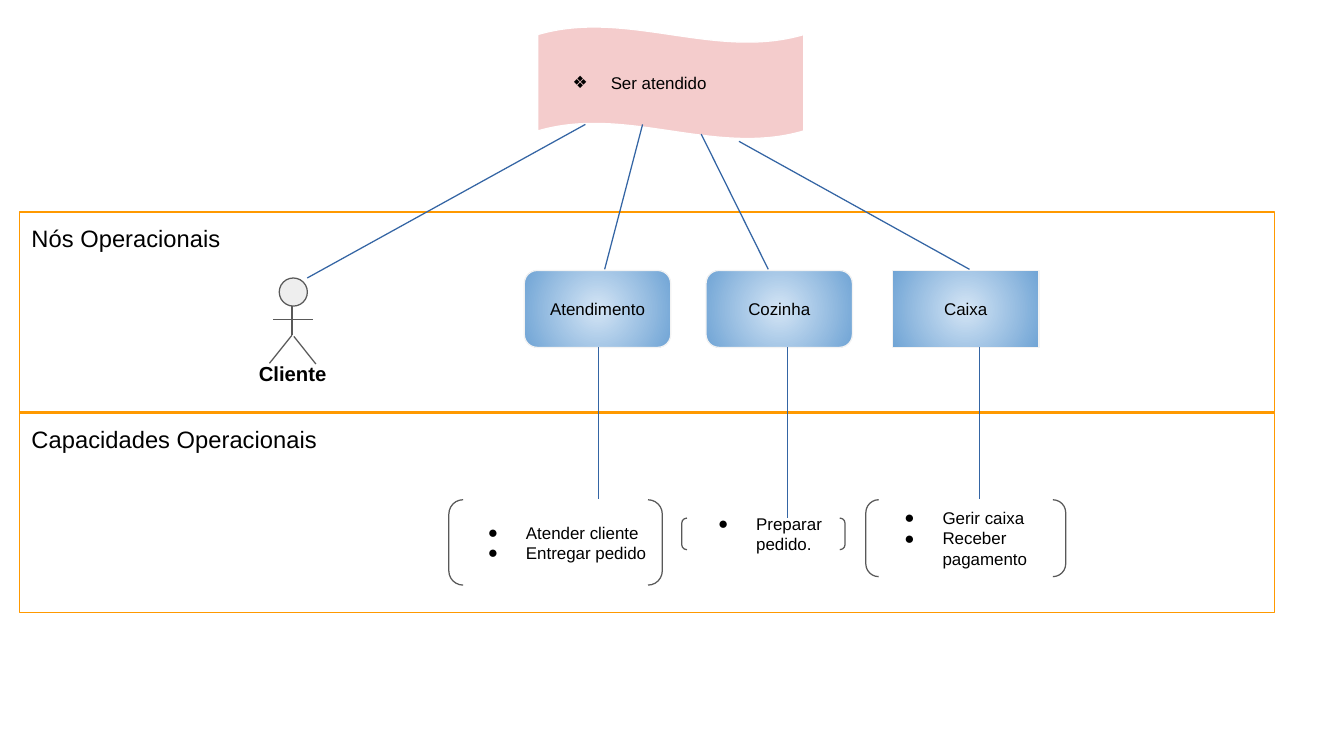
"""Build the operational nodes and capabilities slide."""
from dataclasses import dataclass

from lxml.etree import SubElement
from pptx import Presentation
from pptx.dml.color import RGBColor
from pptx.enum.shapes import MSO_CONNECTOR, MSO_SHAPE
from pptx.enum.text import MSO_ANCHOR, PP_ALIGN
from pptx.oxml.ns import qn
from pptx.util import Pt


@dataclass(frozen=True)
class Theme:
    """Colours, font and sizes of the slide."""
    font: str = "Arial"
    text: str = "000000"
    lane: str = "FF9900"
    goal: str = "F4CCCC"
    goal_line: str = "FFFFFF"
    actor: str = "EEEEEE"
    outline: str = "595959"
    link: str = "3465A4"
    node_inner: str = "D4E5F5"
    node_outer: str = "70A4D5"
    node_line: str = "F3F3F3"
    lane_size: float = 14
    actor_size: float = 12
    body_size: float = 10
    line_width: float = 0.75
    inset: float = 7.2
    bullet_left: float = 36
    bullet_hang: float = 22.5


THEME = Theme()
LANE_LEFT, LANE_TOP, LANE_WIDTH, LANE_HEIGHT, LANE_PITCH = 11.5, 125.3, 741, 118.1, 118.6
LANES = ["Nós Operacionais", "Capacidades Operacionais"]
NODE_TOP, NODE_WIDTH, NODE_HEIGHT = 159.8, 86.4, 45.4
NODES = [("Atendimento", 309.6, 0.167), ("Cozinha", 416.9, 0.167), ("Caixa", 527, 0)]
CAPABILITIES = [
    (["Atender cliente", "Entregar pedido"], (265, 295.2, 126, 50.4)),
    (["Preparar pedido."], (402.5, 306, 96.5, 18.7)),
    (["Gerir caixa", "Receber pagamento"], (511.2, 295.2, 118, 45.4)),
]
GOAL_LINKS = [
    (345.6, 73.5, 181.4, 164.2),
    (379.4, 73.5, 357, 159.1),
    (414, 79.2, 453.6, 159.1),
    (436.3, 83.5, 572.4, 159.1),
]
NODE_LINKS = [(353.4, 294.5), (464.8, 306), (578.1, 294.5)]
LIMBS = [
    (172.4, 180.7, 172.4, 198),
    (161.3, 188.6, 185, 188.6),
    (172.4, 198, 159.1, 214.6),
    (173.5, 198.7, 186.5, 215),
]


def rgb(value):
    """Turn a hex string into a colour."""
    return RGBColor.from_string(value)


def add_box(shapes, kind, box, line, fill=None, adjust=()):
    """Add a preset shape with a thin outline."""
    sp = shapes.add_shape(kind, *map(Pt, box))
    sp.shadow.inherit = False
    for i, value in enumerate(adjust):
        sp.adjustments[i] = value
    if fill:
        sp.fill.solid()
        sp.fill.fore_color.rgb = rgb(fill)
    else:
        sp.fill.background()
    sp.line.color.rgb = rgb(line)
    sp.line.width = Pt(THEME.line_width)
    return sp


def add_line(shapes, ends, color):
    """Add a straight connector between two points."""
    cx = shapes.add_connector(MSO_CONNECTOR.STRAIGHT, *map(Pt, ends))
    cx.line.color.rgb = rgb(color)
    cx.line.width = Pt(THEME.line_width)
    SubElement(cx._element.spPr, qn("a:effectLst"))


def set_text(sp, lines, size, align=PP_ALIGN.LEFT, anchor=MSO_ANCHOR.MIDDLE, bold=False):
    """Write the lines into a shape and format them."""
    tf = sp.text_frame
    tf.word_wrap = True
    tf.vertical_anchor = anchor
    tf.margin_left = tf.margin_right = tf.margin_top = tf.margin_bottom = Pt(THEME.inset)
    tf.text = "\n".join(lines)
    for p in tf.paragraphs:
        p.alignment = align
        for r in p.runs:
            r.font.name = THEME.font
            r.font.size = Pt(size)
            r.font.bold = bold
            r.font.color.rgb = rgb(THEME.text)


def add_bullets(sp, char):
    """Give each paragraph of a shape a hanging bullet."""
    for p in sp.text_frame.paragraphs:
        pPr = p._p.get_or_add_pPr()
        pPr.set("marL", str(Pt(THEME.bullet_left)))
        pPr.set("indent", str(-Pt(THEME.bullet_hang)))
        color = SubElement(pPr, qn("a:buClr"))
        SubElement(color, qn("a:srgbClr"), val=THEME.text)
        SubElement(pPr, qn("a:buFont"), typeface=THEME.font)
        SubElement(pPr, qn("a:buChar"), char=char)


def set_radial_fill(sp):
    """Fill a shape with a gradient that spreads from its centre."""
    sp.fill.gradient()
    for stop, color, position in zip(
        sp.fill.gradient_stops, (THEME.node_inner, THEME.node_outer), (0, 1)
    ):
        stop.color.rgb = rgb(color)
        stop.position = position
    grad = sp._element.spPr.find(qn("a:gradFill"))
    grad.remove(grad.find(qn("a:lin")))
    radial = SubElement(grad, qn("a:path"), path="circle")
    SubElement(radial, qn("a:fillToRect"), dict.fromkeys("ltrb", "50000"))


def add_lane(shapes, label, row):
    """Add one labelled lane."""
    box = (LANE_LEFT, LANE_TOP + row * LANE_PITCH, LANE_WIDTH, LANE_HEIGHT)
    sp = add_box(shapes, MSO_SHAPE.RECTANGLE, box, THEME.lane)
    set_text(sp, [label], THEME.lane_size, anchor=MSO_ANCHOR.TOP)


def add_goal(shapes, label):
    """Add the waving flag that holds the goal."""
    box = (317.5, 15.8, 157, 66.2)
    sp = add_box(shapes, MSO_SHAPE.WAVE, box, THEME.goal_line, THEME.goal, (0.07, 0))
    set_text(sp, [label], THEME.body_size)
    add_bullets(sp, "❖")


def add_actor(shapes, label):
    """Add a grouped stick figure with its label."""
    group = shapes.add_group_shape().shapes
    head = (164.9, 164.2, 16.6, 16.6)
    add_box(group, MSO_SHAPE.FLOWCHART_CONNECTOR, head, THEME.outline, THEME.actor)
    for limb in LIMBS:
        add_line(group, limb, THEME.outline)
    sp = group.add_textbox(*map(Pt, (128.9, 205.9, 87.8, 29.5)))
    set_text(sp, [label], THEME.actor_size, PP_ALIGN.CENTER, MSO_ANCHOR.TOP, True)


def add_node(shapes, label, left, corner):
    """Add one operational node."""
    box = (left, NODE_TOP, NODE_WIDTH, NODE_HEIGHT)
    sp = add_box(shapes, MSO_SHAPE.ROUNDED_RECTANGLE, box, THEME.node_line, adjust=(corner,))
    set_radial_fill(sp)
    set_text(sp, [label], THEME.body_size, PP_ALIGN.CENTER)


def add_capability(shapes, lines, box):
    """Add one bracketed list of capabilities."""
    sp = add_box(shapes, MSO_SHAPE.DOUBLE_BRACKET, box, THEME.outline, adjust=(0.167,))
    set_text(sp, lines, THEME.body_size)
    add_bullets(sp, "●")


def main():
    """Build and save the slide."""
    prs = Presentation()
    prs.slide_width, prs.slide_height = Pt(793.5), Pt(446.5)
    shapes = prs.slides.add_slide(prs.slide_layouts[6]).shapes
    for row, label in enumerate(LANES):
        add_lane(shapes, label, row)
    add_goal(shapes, "Ser atendido")
    add_actor(shapes, "Cliente")
    for node in NODES:
        add_node(shapes, *node)
    for capability in CAPABILITIES:
        add_capability(shapes, *capability)
    for ends in GOAL_LINKS:
        add_line(shapes, ends, THEME.link)
    for x, bottom in NODE_LINKS:
        add_line(shapes, (x, NODE_TOP + NODE_HEIGHT, x, bottom), THEME.link)
    prs.save("out.pptx")


if __name__ == "__main__":
    main()
